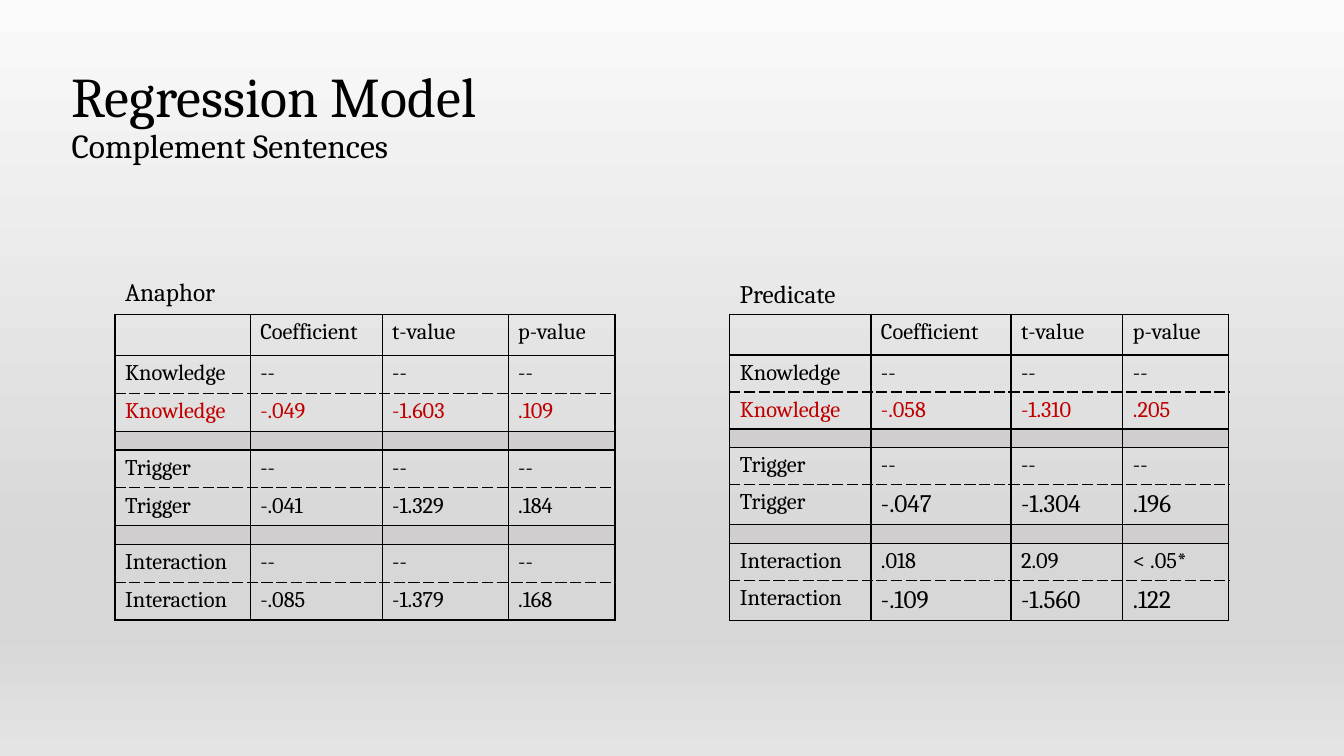
from dataclasses import dataclass

from lxml.etree import SubElement
from pptx import Presentation
from pptx.dml.color import RGBColor as RGB
from pptx.enum.text import MSO_ANCHOR as ANCHOR, MSO_AUTO_SIZE as AUTO, PP_ALIGN as ALIGN
from pptx.oxml.ns import qn
from pptx.slide import Slide
from pptx.table import _Cell as Cell
from pptx.util import Pt

COLORS = {"text": "000000", "accent": "C00000", "gap": "D0CECE"}
BACKGROUND = [(0, "FAFAFA"), (74, "D7D7D7"), (83, "D7D7D7"), (100, "E4E4E4")]
FONT = "Cambria"
HEADER = ("", "Coefficient", "t-value", "p-value")
EFFECTS = ("Knowledge", "Trigger", "Interaction")
NONE = ("--", "--", "--")
TABLE_TOP = 224.8


@dataclass
class Effect:
    first: tuple[str, str, str]
    second: tuple[str, str, str]
    second_size: int = 16


@dataclass
class Model:
    name: str
    left: float
    name_top: float
    name_width: float
    cols: tuple[float, ...]
    row_height: float
    effects: tuple[Effect, ...]
    large_height: float = 28.8


MODELS = [
    Model("Anaphor", 82.2, 193.7, 85, (96.5, 94.3, 90, 76.3), 27, (
        Effect(NONE, ("-.049", "-1.603", ".109")),
        Effect(NONE, ("-.041", "-1.329", ".184")),
        Effect(NONE, ("-.085", "-1.379", ".168")),
    )),
    Model("Predicate", 521.3, 195.1, 90, (100.8, 100.1, 79.9, 75.6), 26.4, (
        Effect(NONE, ("-.058", "-1.310", ".205")),
        Effect(NONE, ("-.047", "-1.304", ".196"), 18),
        Effect((".018", "2.09", "< .05*"), ("-.109", "-1.560", ".122"), 18),
    )),
]


def style(r, size: float, color: str = "text") -> None:
    r.font.name = FONT
    r.font.size = Pt(size)
    r.font.color.rgb = RGB.from_string(COLORS[color])


def set_background(s: Slide) -> None:
    fill = s.background.fill
    fill.gradient()
    fill.gradient_angle = 270
    stops = s.element.find(".//" + qn("a:gsLst"))
    for stop in list(stops):
        stops.remove(stop)
    for position, color in BACKGROUND:
        stop = SubElement(stops, qn("a:gs"), pos=str(position * 1000))
        SubElement(stop, qn("a:srgbClr"), val=color)


def add_title(s: Slide) -> None:
    sp = s.shapes.title
    sp.left, sp.top, sp.width, sp.height = Pt(43.9), Pt(31.7), Pt(828), Pt(104.4)
    tf = sp.text_frame
    tf.auto_size = AUTO.NONE
    tf.vertical_anchor = ANCHOR.MIDDLE
    p = tf.paragraphs[0]
    p.text = "Regression Model\vComplement Sentences"
    p.alignment = ALIGN.LEFT
    p.line_spacing = 0.9
    for r, size in zip(p.runs, (40, 24)):
        style(r, size)


def set_borders(cell: Cell, dashed_side: str) -> None:
    tc_pr = cell._tc.get_or_add_tcPr()
    for side in "LRTB":
        line = SubElement(tc_pr, qn(f"a:ln{side}"), w=str(Pt(1)))
        fill = SubElement(line, qn("a:solidFill"))
        SubElement(fill, qn("a:srgbClr"), val=COLORS["text"])
        dash = "sysDash" if side == dashed_side else "solid"
        SubElement(line, qn("a:prstDash"), val=dash)


def fill_cell(cell: Cell, text: str, size: float = 16, color: str = "text",
              dashed_side: str = "") -> None:
    set_borders(cell, dashed_side)
    cell.fill.background()
    if not text:
        return
    p = cell.text_frame.paragraphs[0]
    p.text = text.rstrip("*")
    if text.endswith("*"):
        star = p.add_run()
        star.text = "*"
        star.font.bold = True
    for r in p.runs:
        style(r, size, color)


def fill_gap(cell: Cell) -> None:
    set_borders(cell, "")
    cell.fill.solid()
    cell.fill.fore_color.rgb = RGB.from_string(COLORS["gap"])
    cell.margin_top = cell.margin_bottom = 0
    # A small empty paragraph lets the row stay narrow
    SubElement(cell.text_frame.paragraphs[0]._p, qn("a:endParaRPr"), sz="800")


def add_model(s: Slide, model: Model) -> None:
    # Table frame: a header, then two rows per effect with a gap between effects
    count = 3 * len(EFFECTS)
    frame = s.shapes.add_table(count, len(HEADER), Pt(model.left), Pt(TABLE_TOP),
                               Pt(sum(model.cols)), Pt(216))
    table = frame.table
    table.first_row = table.horz_banding = False
    for col, width in zip(table.columns, model.cols):
        col.width = Pt(width)
    for row in table.rows:
        row.height = Pt(model.row_height)
    for c, text in enumerate(HEADER):
        fill_cell(table.cell(0, c), text)

    # Effects
    for i, (label, effect) in enumerate(zip(EFFECTS, model.effects)):
        top = 1 + 3 * i
        color = "accent" if label == "Knowledge" else "text"
        if effect.second_size > 16:
            table.rows[top + 1].height = Pt(model.large_height)
        for c, text in enumerate((label, *effect.first)):
            fill_cell(table.cell(top, c), text, dashed_side="B")
        for c, text in enumerate((label, *effect.second)):
            size = effect.second_size if c else 16
            fill_cell(table.cell(top + 1, c), text, size, color, "T")
        if top + 2 < count:
            table.rows[top + 2].height = Pt(model.row_height / 2)
            for c in range(len(HEADER)):
                fill_gap(table.cell(top + 2, c))

    # Name above the table
    sp = s.shapes.add_textbox(Pt(model.left), Pt(model.name_top),
                              Pt(model.name_width), Pt(28.8))
    tf = sp.text_frame
    tf.word_wrap = False
    tf.auto_size = AUTO.SHAPE_TO_FIT_TEXT
    tf.text = model.name
    style(tf.paragraphs[0].runs[0], 18)


def main() -> None:
    prs = Presentation()
    prs.slide_width, prs.slide_height = Pt(960), Pt(540)
    s = prs.slides.add_slide(prs.slide_layouts[5])
    set_background(s)
    add_title(s)
    for model in MODELS:
        add_model(s, model)
    prs.save("out.pptx")


if __name__ == "__main__":
    main()
